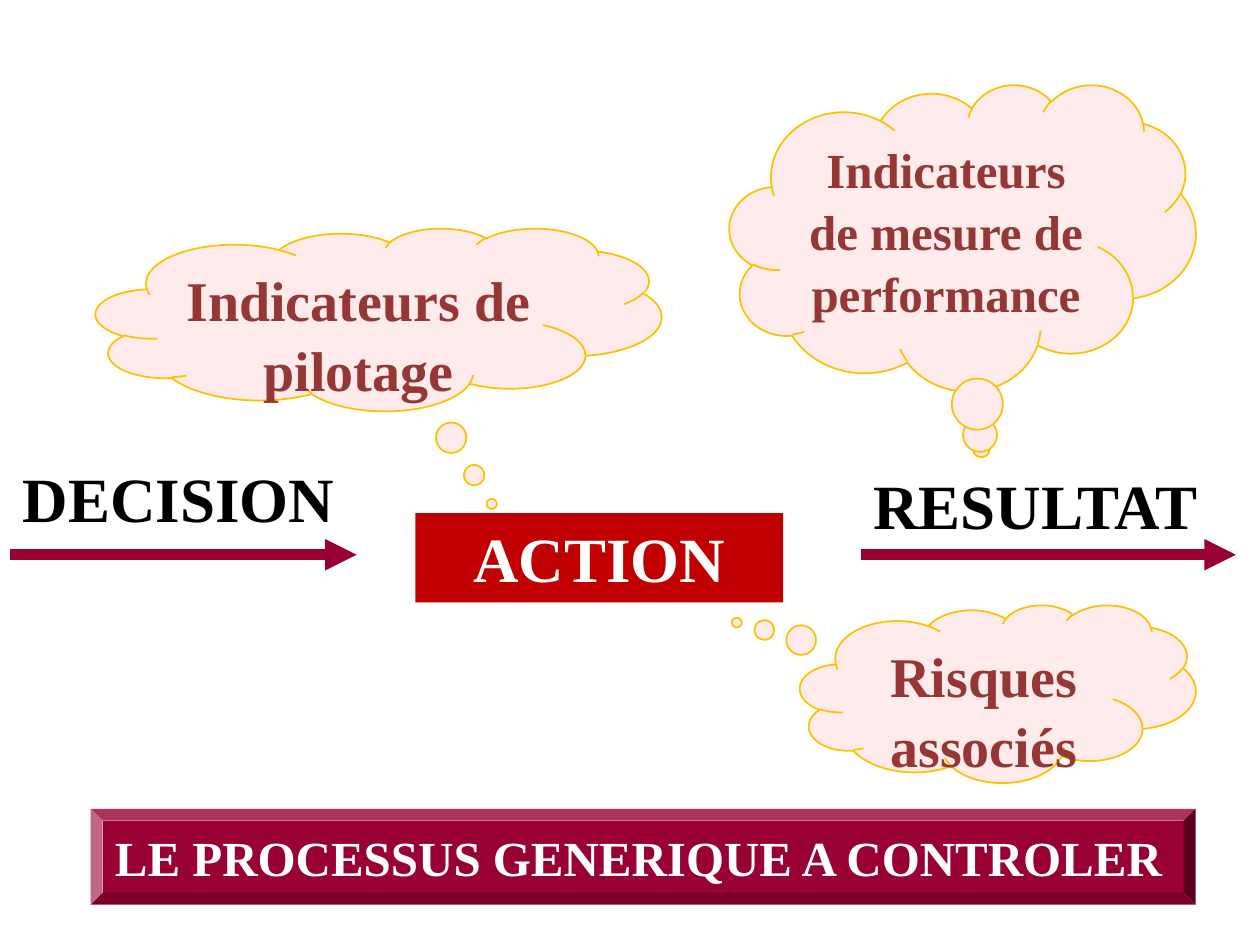
from dataclasses import dataclass

import pptx
import pptx.dml.color
import pptx.enum.shapes
import pptx.enum.text
import pptx.oxml.ns
import pptx.util
from lxml import etree

Pt = pptx.util.Pt
SHAPES = pptx.enum.shapes.MSO_SHAPE
ALIGN = pptx.enum.text.PP_ALIGN
ANCHOR = pptx.enum.text.MSO_ANCHOR


@dataclass(frozen=True)
class Theme:
    font: str = "Times New Roman"
    step_size: int = 36
    cloud_size: int = 32
    small_size: int = 28
    black: str = "000000"
    white: str = "FFFFFF"
    plum: str = "990033"
    red: str = "C00000"
    pink: str = "FFEBEB"
    gold: str = "FFC000"
    brown: str = "953735"


THEME = Theme()


def rgb(value):
    return pptx.dml.color.RGBColor.from_string(value)


def write(shape, text, size, color, align=ALIGN.LEFT, anchor=ANCHOR.TOP, wrap=False, spacing=None):
    frame = shape.text_frame
    frame.word_wrap = wrap
    frame.vertical_anchor = anchor
    paragraph = frame.paragraphs[0]
    paragraph.alignment = align
    paragraph.line_spacing = spacing
    run = paragraph.add_run()
    run.text = text
    run.font.name = THEME.font
    run.font.size = Pt(size)
    run.font.bold = True
    run.font.color.rgb = rgb(color)


def add_filled(slide, kind, box, fill, outline=None):
    shape = slide.shapes.add_shape(kind, *map(Pt, box))
    shape.shadow.inherit = False
    shape.fill.solid()
    shape.fill.fore_color.rgb = rgb(fill)
    if outline:
        shape.line.color.rgb = rgb(outline)
        shape.line.width = Pt(1)
    else:
        shape.line.fill.background()
    return shape


def add_action(slide, box):
    action = add_filled(slide, SHAPES.RECTANGLE, box, THEME.red)
    write(action, "ACTION", THEME.step_size, THEME.white, ALIGN.CENTER, ANCHOR.MIDDLE, True)


def add_step(slide, box, text, label_top):
    """Label above an arrow that runs along the bottom of the box."""
    left, top, width, height = box
    label = slide.shapes.add_textbox(Pt(left), Pt(top + label_top), Pt(width), Pt(50.4))
    write(label, text, THEME.step_size, THEME.black)

    bottom = Pt(top + height)
    arrow = slide.shapes.add_connector(
        pptx.enum.shapes.MSO_CONNECTOR.STRAIGHT, Pt(left), bottom, Pt(left + width), bottom)
    arrow.line.color.rgb = rgb(THEME.plum)
    arrow.line.width = Pt(6)
    qn = pptx.oxml.ns.qn
    etree.SubElement(arrow.line._get_or_add_ln(), qn("a:tailEnd"), type="triangle")
    etree.SubElement(arrow._element.spPr, qn("a:effectLst"))


def add_title_bar(slide, box):
    bar = add_filled(slide, SHAPES.BEVEL, box, THEME.plum)
    bar.adjustments[0] = 0.125
    write(bar, "LE PROCESSUS GENERIQUE A CONTROLER", THEME.small_size, THEME.white,
          anchor=ANCHOR.MIDDLE)


def add_cloud(slide, box, text, size, pointer):
    cloud = add_filled(slide, SHAPES.CLOUD_CALLOUT, box, THEME.pink, THEME.gold)
    cloud.adjustments[0], cloud.adjustments[1] = pointer
    write(cloud, text, size, THEME.brown, ALIGN.CENTER, wrap=True, spacing=1.05)


def main():
    deck = pptx.Presentation()
    deck.slide_width, deck.slide_height = Pt(720), Pt(540)
    slide = deck.slides.add_slide(deck.slide_layouts[6])

    # Process: decision, action, result
    add_action(slide, (237.4, 293.2, 210.2, 51))
    add_step(slide, (5.8, 259.2, 198, 57.8), "DECISION", 0)
    add_step(slide, (491.8, 259.2, 214.5, 57.8), "RESULTAT", 3.6)

    # Title bar at the foot
    add_title_bar(slide, (51.8, 462.2, 631.4, 54.7))

    # Thought clouds
    add_cloud(slide, (457.2, 345.6, 226.1, 101.5), "Risques associés",
              THEME.cloud_size, (-0.66, -0.4))
    add_cloud(slide, (416.9, 48.2, 266.4, 175), "Indicateurs de mesure de performance",
              THEME.small_size, (0.04, 0.69))
    add_cloud(slide, (54.7, 130.3, 323.3, 104.4), "Indicateurs de pilotage",
              THEME.cloud_size, (0.2, 1.01))

    deck.save("out.pptx")


if __name__ == "__main__":
    main()
